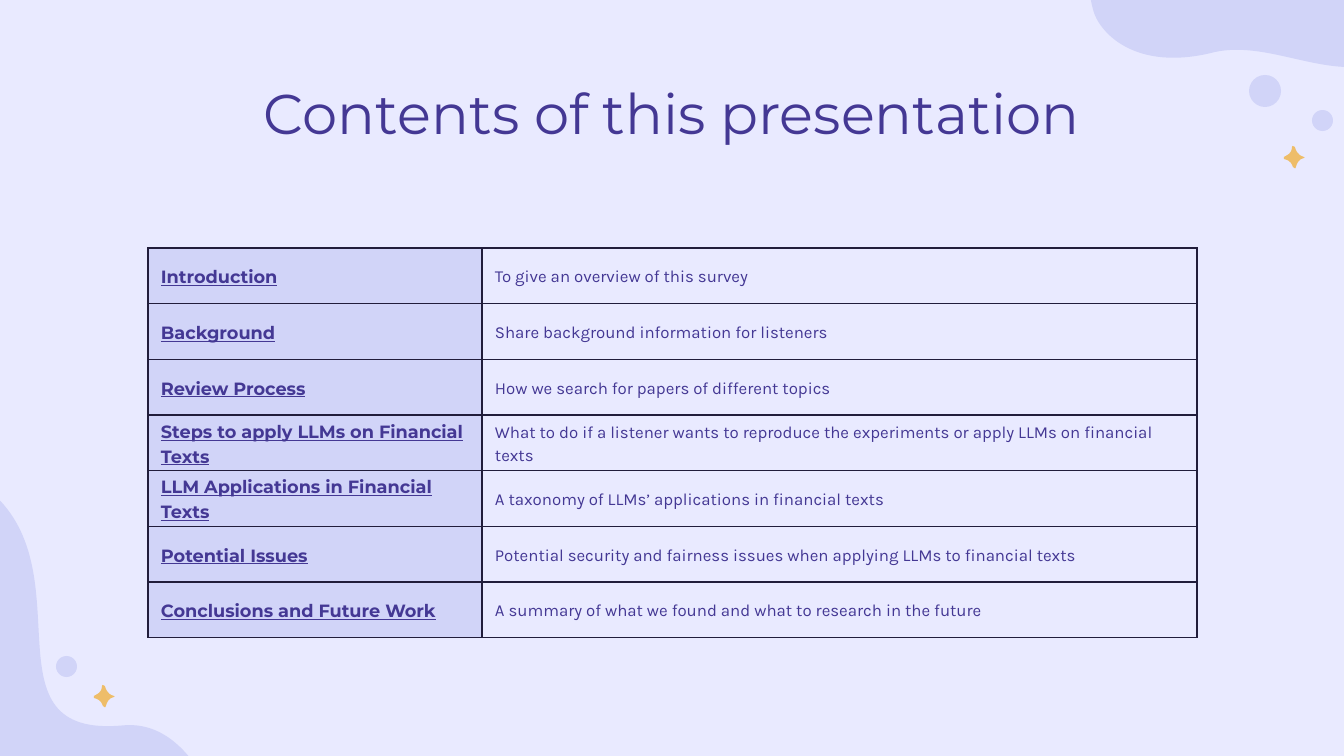
"""Build the contents slide: a title, a table of sections and soft corner decorations."""
from lxml import etree
from pptx import Presentation
from pptx.dml.color import RGBColor
from pptx.enum.shapes import MSO_SHAPE
from pptx.enum.text import MSO_ANCHOR, PP_ALIGN
from pptx.oxml.ns import qn
from pptx.util import Pt

PX = 914400 / 134.4
OVAL = MSO_SHAPE.OVAL
MIDDLE = MSO_ANCHOR.MIDDLE
LEFT, CENTER = PP_ALIGN.LEFT, PP_ALIGN.CENTER
LAVENDER, INDIGO, GOLD, NAVY = "D1D4F8", "443894", "EEBD69", "211D3B"


def paint(color_format, hex_color):
    color_format.rgb = RGBColor.from_string(hex_color)


def write(frame, text, font="Karla", size=9, align=LEFT, bold=False, underline=False,
          line_spacing=None, space_after=0):
    frame.word_wrap = True
    paragraph = frame.paragraphs[0]
    paragraph.alignment = align
    paragraph.space_after = Pt(space_after)
    if line_spacing:
        paragraph.line_spacing = line_spacing
    run = paragraph.add_run()
    run.text = text
    run.font.name = font
    run.font.size = Pt(size)
    run.font.bold = bold
    run.font.underline = underline
    paint(run.font.color, INDIGO)


presentation = Presentation()
presentation.slide_width = round(1344 * PX)
presentation.slide_height = round(756 * PX)
slide = presentation.slides.add_slide(presentation.slide_layouts[6])
slide.background.fill.solid()
paint(slide.background.fill.fore_color, "E9EAFF")

top_wave = [
    (354, 118),
    (347, 164, 331, 176, 335, 210),
    (338, 234, 350, 253, 359, 278),
    (371, 312, 356, 375, 273, 379),
    (226, 381, 178, 354, 132, 364),
    (51, 385, 15, 343, 10, 321),
    (-8, 253, 55, 242, 24, 191),
    (-20, 116, -13, -4, 129, 35),
    (203, 57, 262, -29, 323, 12),
    (362, 39, 358, 85, 354, 118),
]
bottom_wave = [
    (967, 0),
    (967, 0, 550, 8, 564, 151),
    (577, 292, 413, 188, 331, 282),
    (249, 378, 474, 504, 331, 539),
    (187, 574, 139, 526, 64, 592),
    (-10, 657, 2, 659, 2, 659),
    (1030, 665),
    (1011, 3),
    (967, 0),
]
sparkle = [
    (0, 11),
    (3, 9, 8, 8, 8, 1),
    (8, 0, 9, -1, 11, 1),
    (12, 4, 13, 9, 20, 11),
    (20, 11, 22, 12, 20, 12),
    (15, 13, 13, 17, 12, 21),
    (12, 23, 11, 23, 9, 21),
    (8, 19, 8, 15, 0, 13),
    (0, 13, 0, 12, 0, 11),
]
decorations = [
    (top_wave, (1083, -312, 363, 376), 0, LAVENDER),
    (bottom_wave, (-574, 344, 1030, 665), 90, LAVENDER),
    (sparkle, (1284, 146, 20, 21), 0, GOLD),
    (sparkle, (94, 685, 20, 21), 0, GOLD),
]
ornaments = []
for segments, box, rotation, color in decorations:
    builder = slide.shapes.build_freeform(*segments[0], scale=PX)
    builder.add_line_segments([segment[-2:] for segment in segments[1:]], close=True)
    ornament = builder.convert_to_shape()
    ornament.left, ornament.top, ornament.width, ornament.height = [
        round(length * PX) for length in box]
    ornament.rotation = rotation
    outline = next(ornament._element.iter(qn("a:path")))
    outline.set("w", str(box[2]))
    outline.set("h", str(box[3]))
    for command in list(outline):
        outline.remove(command)
    for index, segment in enumerate(segments):
        kind = "a:cubicBezTo" if len(segment) == 6 else "a:lnTo" if index else "a:moveTo"
        command = etree.SubElement(outline, qn(kind))
        for x, y in zip(segment[::2], segment[1::2]):
            etree.SubElement(command, qn("a:pt"), x=str(x), y=str(y))
    etree.SubElement(outline, qn("a:close"))
    ornaments.append((ornament, color))

for left, top, diameter in [(1249, 75, 32), (1312, 110, 21), (56, 656, 21)]:
    box = [round(length * PX) for length in (left, top, diameter, diameter)]
    ornaments.append((slide.shapes.add_shape(OVAL, *box), LAVENDER))

for ornament, color in ornaments:
    ornament.shadow.inherit = False
    ornament.fill.solid()
    paint(ornament.fill.fore_color, color)
    ornament.line.fill.background()

title_box = [round(length * PX) for length in (105, 66, 1134, 81)]
title = slide.shapes.add_textbox(*title_box).text_frame
title.margin_left = title.margin_right = title.margin_top = title.margin_bottom = round(13 * PX)
write(title, "Contents of this presentation", font="Montserrat", size=30, align=CENTER)

sections = [
    ("Introduction", "To give an overview of this survey"),
    ("Background", "Share background information for listeners"),
    ("Review Process", "How we search for papers of different topics"),
    ("Steps to apply LLMs on Financial Texts",
     "What to do if a listener wants to reproduce the experiments or apply LLMs on financial texts"),
    ("LLM Applications in Financial Texts", "A taxonomy of LLMs’ applications in financial texts"),
    ("Potential Issues",
     "Potential security and fairness issues when applying LLMs to financial texts"),
    ("Conclusions and Future Work", "A summary of what we found and what to research in the future"),
]
contents_box = [round(length * PX) for length in (148, 248, 1049, 390)]
contents = slide.shapes.add_table(len(sections), 2, *contents_box).table
contents.first_row = contents.horz_banding = False
for column, width in zip(contents.columns, (334, 715)):
    column.width = round(width * PX)

for row, (section, summary) in enumerate(sections):
    section_cell, summary_cell = contents.cell(row, 0), contents.cell(row, 1)
    for cell in (section_cell, summary_cell):
        cell.vertical_anchor = MIDDLE
        cell.margin_left = cell.margin_right = round(13 * PX)
        cell.margin_top = cell.margin_bottom = 0
        properties = cell._tc.get_or_add_tcPr()
        for side in ("a:lnL", "a:lnR", "a:lnT", "a:lnB"):
            border = etree.SubElement(properties, qn(side), w=str(Pt(0.75)))
            border_fill = etree.SubElement(border, qn("a:solidFill"))
            etree.SubElement(border_fill, qn("a:srgbClr"), val=NAVY)
    section_cell.fill.solid()
    paint(section_cell.fill.fore_color, LAVENDER)
    summary_cell.fill.background()
    write(section_cell.text_frame, section, font="Montserrat", size=9.5, bold=True,
          underline=True, line_spacing=1.15)
    write(summary_cell.text_frame, summary, line_spacing=1.15, space_after=16)

presentation.save("out.pptx")
